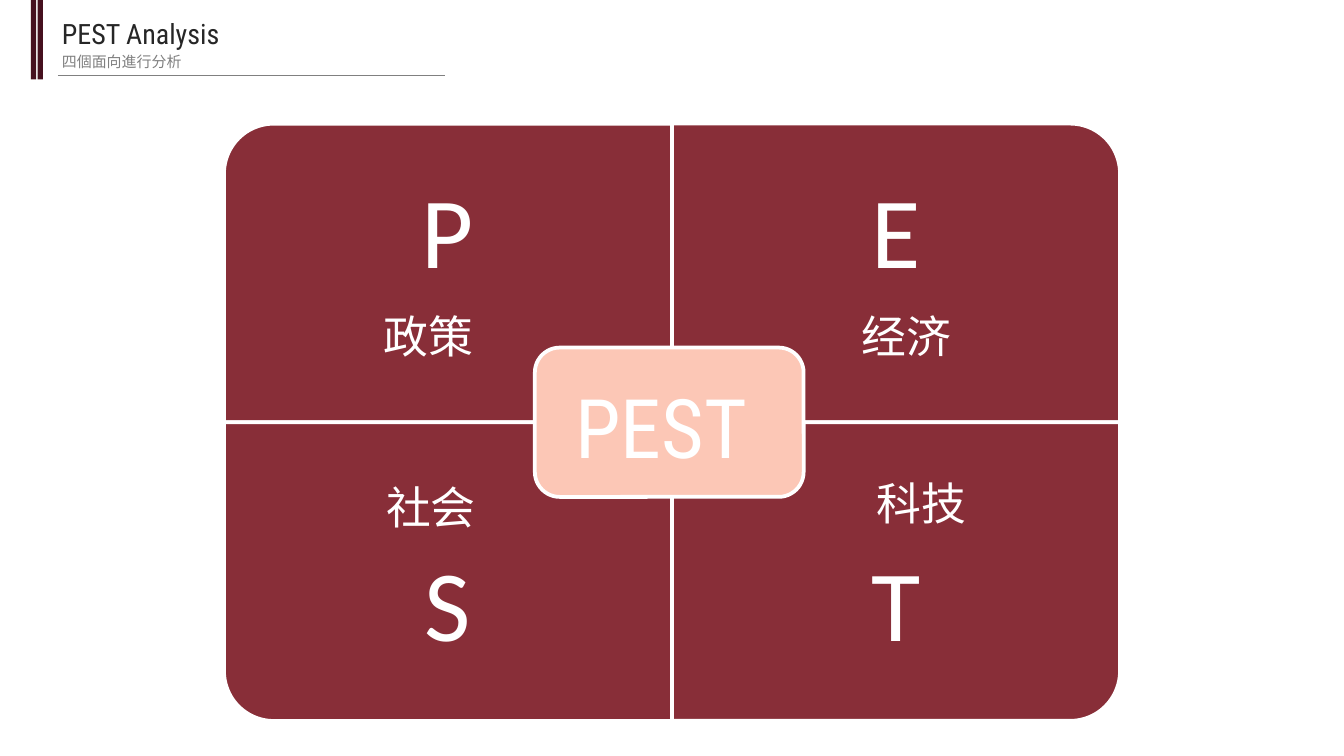
from pptx import Presentation
from pptx.dml.color import RGBColor
from pptx.enum.shapes import MSO_CONNECTOR, MSO_SHAPE
from pptx.enum.text import MSO_ANCHOR, PP_ALIGN
from pptx.oxml.ns import qn
from pptx.util import Inches, Pt
from lxml import etree

LEFT, CENTER, RIGHT = PP_ALIGN.LEFT, PP_ALIGN.CENTER, PP_ALIGN.RIGHT
TOP, MIDDLE = MSO_ANCHOR.TOP, MSO_ANCHOR.MIDDLE
RECTANGLE, ROUNDED = MSO_SHAPE.RECTANGLE, MSO_SHAPE.ROUNDED_RECTANGLE
ONE_ROUND_CORNER = MSO_SHAPE.ROUND_1_RECTANGLE

COLORS = {"wine": "882E38", "dark": "46101F", "peach": "FCC7B6",
          "white": "FFFFFF", "ink": "262626", "gray": "808080"}
COLORS = {name: RGBColor.from_string(value) for name, value in COLORS.items()}
LATIN, BODY = "Roboto Condensed", "Calibri"

WIDTH = 10
HEIGHT = WIDTH * 9 / 16
COLUMN, ROW = WIDTH / 3, WIDTH * 2 / 9  # one quadrant of the matrix
CENTER_X, CENTER_Y = WIDTH / 2, 0.92 + ROW

presentation = Presentation()
presentation.slide_width, presentation.slide_height = Inches(WIDTH), Inches(HEIGHT)
slide = presentation.slides.add_slide(presentation.slide_layouts[5])


def add_box(kind, left, top, width, height, fill, line=None):
    shape = slide.shapes.add_shape(
        kind, Inches(left), Inches(top), Inches(width), Inches(height))
    shape.shadow.inherit = False
    shape.fill.solid()
    shape.fill.fore_color.rgb = COLORS[fill]
    if line:
        shape.line.color.rgb = COLORS[line]
        shape.line.width = Pt(2)
    else:
        shape.line.fill.background()
    return shape


def write(text, left, top, width, height, size, font, color, align,
          anchor=TOP, insets=(0.07, 0.04), shape=None):
    position = [Inches(value) for value in (left, top, width, height)]
    shape = shape or slide.shapes.add_textbox(*position)
    shape.left, shape.top, shape.width, shape.height = position
    frame = shape.text_frame
    frame.text = text
    frame.word_wrap = True
    frame.vertical_anchor = anchor
    frame.margin_left = frame.margin_right = Inches(insets[0])
    frame.margin_top = frame.margin_bottom = Inches(insets[1])
    paragraph = frame.paragraphs[0]
    paragraph.alignment = align
    run_font = paragraph.runs[0].font
    run_font.size, run_font.name = Pt(size), font
    run_font.color.rgb = COLORS[color]
    return paragraph


# Four quadrants, each turned so that its round corner points outwards
quadrants = [("P", 0, 0, 270), ("E", 1, 0, 0), ("S", 0, 1, 180), ("T", 1, 1, 90)]
for letter, column, row, rotation in quadrants:
    left = CENTER_X + (column - 1) * COLUMN
    top = CENTER_Y + (row - 1) * ROW
    width, height = (ROW, COLUMN) if rotation in (90, 270) else (COLUMN, ROW)
    quadrant = add_box(ONE_ROUND_CORNER, left + (COLUMN - width) / 2,
                       top + (ROW - height) / 2, width, height, "wine", "white")
    quadrant.rotation = rotation
    paragraph = write(letter, left, top + row * ROW / 4, COLUMN, ROW * 3 / 4,
                      54, BODY, "white", CENTER, MIDDLE, (0.42, 0.42))
    paragraph.line_spacing = 0.9

# Centre label
add_box(ROUNDED, 3.98, CENTER_Y - ROW / 4, COLUMN * 0.6, ROW / 2, "peach", "white")
write("PEST", 4.13, 2.76, 1.5, 0.82, 44, LATIN, "white", RIGHT)

# Quadrant names
names = [("政策", 2.72, 2.26, 0.87), ("经济", 6.31, 2.26, 0.84),
         ("社会", 2.7, 3.53, 0.91), ("科技", 6.31, 3.5, 0.95)]
for name, left, top, width in names:
    write(name, left, top, width, 0.48, 24, BODY, "white", RIGHT)

# Heading: two bars, title, rule and subtitle
for left in (0.23, 0.28):
    add_box(RECTANGLE, left, 0, 0.04, 0.59, "dark")
write("PEST Analysis", 0.39, 0.08, 3.17, 0.33, 15, LATIN, "ink", LEFT,
      shape=slide.shapes.title)
rule = slide.shapes.add_connector(
    MSO_CONNECTOR.STRAIGHT, Inches(0.43), Inches(0.56), Inches(3.31), Inches(0.56))
rule.line.color.rgb = COLORS["gray"]
rule.line.width = Pt(0.75)
etree.SubElement(rule._element.spPr, qn("a:effectLst"))
write("四個面向進行分析", 0.39, 0.35, 3.17, 0.21, 8, BODY, "gray", LEFT)

presentation.save("out.pptx")
